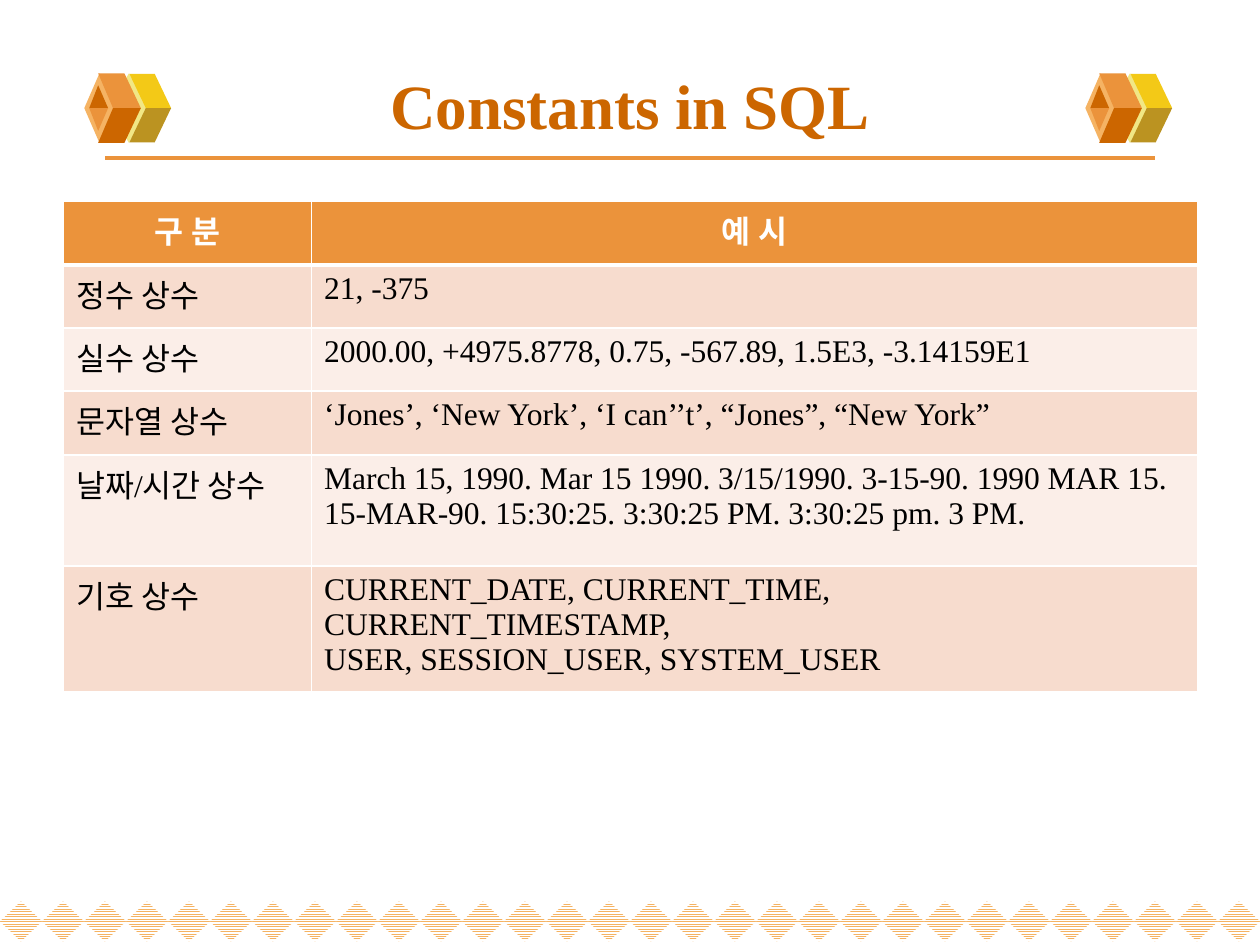
from dataclasses import dataclass

from lxml.etree import SubElement
from pptx import Presentation
from pptx.dml.color import RGBColor
from pptx.enum.dml import MSO_PATTERN
from pptx.enum.shapes import MSO_CONNECTOR, MSO_SHAPE
from pptx.enum.text import MSO_ANCHOR, PP_ALIGN
from pptx.oxml import parse_xml
from pptx.oxml.ns import nsdecls, qn
from pptx.util import Cm, Pt

COLORS = {
    "white": "FFFFFF",
    "black": "000000",
    "orange": "EB933B",
    "amber": "F5B363",
    "rust": "CC6600",
    "cream": "F1E785",
    "yellow": "F3C917",
    "olive": "BB9321",
    "peach": "F7DCCE",
    "blush": "FBEEE8",
}
FONT = "Times New Roman"
SLIDE_WIDTH, SLIDE_HEIGHT = 25.4, 19.05
DIAMOND_COUNT = 30
CUBE_LEFTS = (1.7, 21.88)
CUBE_MIDDLE = 2.18
COLUMN_WIDTHS = (5.0, 17.86)


@dataclass(frozen=True)
class CubeEdge:
    left: float
    width: float
    color: str


@dataclass(frozen=True)
class CubeFace:
    points: tuple[tuple[float, float], ...]
    upper_color: str
    lower_color: str


@dataclass(frozen=True)
class ConstantRow:
    label: str
    examples: str
    height: float
    color: str


CUBE_PARTS = (
    CubeEdge(0.48, 0.84, "cream"),
    CubeFace(((1.24, 0), (1.75, 0), (1.42, 0.69), (0.91, 0.69)), "yellow", "olive"),
    CubeEdge(0, 0.61, "amber"),
    CubeFace(((0.58, 0), (1.14, 0), (0.81, 0.7), (0.28, 0.7)), "orange", "rust"),
    CubeFace(((0.28, 0.46), (0.1, 0), (0.48, 0)), "rust", "orange"),
)
ROWS = (
    ConstantRow("구 분", "예 시", 1.29, "orange"),
    ConstantRow("정수 상수", "21, -375", 1.27, "peach"),
    ConstantRow("실수 상수", "2000.00, +4975.8778, 0.75, -567.89, 1.5E3, -3.14159E1", 1.27, "blush"),
    ConstantRow("문자열 상수", "‘Jones’, ‘New York’, ‘I can’’t’, “Jones”, “New York”", 1.29, "peach"),
    ConstantRow(
        "날짜/시간 상수",
        "March 15, 1990. Mar 15 1990. 3/15/1990. 3-15-90. 1990 MAR 15.\n"
        "15-MAR-90. 15:30:25. 3:30:25 PM. 3:30:25 pm. 3 PM.",
        2.24,
        "blush",
    ),
    ConstantRow(
        "기호 상수",
        "CURRENT_DATE, CURRENT_TIME, CURRENT_TIMESTAMP,\nUSER, SESSION_USER, SYSTEM_USER",
        2.24,
        "peach",
    ),
)


def rgb(name: str) -> RGBColor:
    """Return the named colour."""
    return RGBColor.from_string(COLORS[name])


def write_text(text_frame, text: str, *, size=18, color="black", bold=False, align=PP_ALIGN.LEFT) -> None:
    """Write each line of text as a formatted paragraph."""
    text_frame.word_wrap = True
    text_frame.text = text
    for paragraph in text_frame.paragraphs:
        paragraph.alignment = align
        for run in paragraph.runs:
            run.font.name = FONT
            run.font.size = Pt(size)
            run.font.bold = bold
            run.font.color.rgb = rgb(color)


def add_diamond(slide, left: float, top: float, width: float, height: float):
    """Add a diamond without line or shadow."""
    shape = slide.shapes.add_shape(MSO_SHAPE.DIAMOND, Cm(left), Cm(top), Cm(width), Cm(height))
    shape.shadow.inherit = False
    shape.line.fill.background()
    return shape


def add_diamond_border(slide) -> None:
    """Line the bottom of the slide with hatched diamonds."""
    width = SLIDE_WIDTH / DIAMOND_COUNT
    for index in range(DIAMOND_COUNT):
        shape = add_diamond(slide, index * width, 18.17, width, 0.81)
        shape.fill.patterned()
        shape.fill.pattern = MSO_PATTERN.NARROW_HORIZONTAL
        shape.fill.fore_color.rgb = rgb("amber")
        shape.fill.back_color.rgb = rgb("white")


def add_polygon(slide, points: list[tuple[float, float]], color: str) -> None:
    """Add a filled polygon through the given points."""
    corners = [(Cm(x), Cm(y)) for x, y in points]
    builder = slide.shapes.build_freeform(*corners[0], scale=1.0)
    builder.add_line_segments(corners[1:], close=True)
    shape = builder.convert_to_shape()
    shape.shadow.inherit = False
    shape.fill.solid()
    shape.fill.fore_color.rgb = rgb(color)
    shape.line.fill.background()


def add_cube(slide, left: float) -> None:
    """Draw a cube ornament from its edges and mirrored faces."""
    for part in CUBE_PARTS:
        if isinstance(part, CubeEdge):
            shape = add_diamond(slide, left + part.left, CUBE_MIDDLE - 0.7, part.width, 1.4)
            shape.fill.solid()
            shape.fill.fore_color.rgb = rgb(part.color)
        else:
            for direction, color in ((-1, part.upper_color), (1, part.lower_color)):
                points = [(left + x, CUBE_MIDDLE + direction * y) for x, y in part.points]
                add_polygon(slide, points, color)


def add_title(slide) -> None:
    """Add the title and the rule below it."""
    rule = slide.shapes.add_connector(MSO_CONNECTOR.STRAIGHT, Cm(2.12), Cm(3.18), Cm(23.28), Cm(3.18))
    rule.line.color.rgb = rgb("orange")
    rule.line.width = Pt(2.25)
    SubElement(rule._element.spPr, qn("a:effectLst"))
    for left in CUBE_LEFTS:
        add_cube(slide, left)
    title = slide.shapes.add_textbox(Cm(1.27), Cm(1.14), Cm(22.86), Cm(1.93))
    title.text_frame.vertical_anchor = MSO_ANCHOR.MIDDLE
    write_text(title.text_frame, "Constants in SQL", size=36, color="rust", bold=True, align=PP_ALIGN.CENTER)


def set_borders(cell, top: float, bottom: float) -> None:
    """Give a cell white borders."""
    properties = cell._tc.get_or_add_tcPr()
    for index, (side, width) in enumerate((("L", 1), ("R", 1), ("T", top), ("B", bottom))):
        border = parse_xml(
            f'<a:ln{side} {nsdecls("a")} w="{Pt(width)}"><a:solidFill>'
            f'<a:srgbClr val="{COLORS["white"]}"/></a:solidFill></a:ln{side}>'
        )
        properties.insert(index, border)


def add_constants_table(slide) -> None:
    """Add the table of constant kinds and examples."""
    height = sum(row.height for row in ROWS)
    frame = slide.shapes.add_table(
        len(ROWS), len(COLUMN_WIDTHS), Cm(1.28), Cm(4.05), Cm(sum(COLUMN_WIDTHS)), Cm(height)
    )
    table = frame.table
    table.first_row = table.horz_banding = False
    for column, width in zip(table.columns, COLUMN_WIDTHS):
        column.width = Cm(width)
    for index, row in enumerate(ROWS):
        table.rows[index].height = Cm(row.height)
        header = index == 0
        for column_index, text in enumerate((row.label, row.examples)):
            cell = table.cell(index, column_index)
            cell.fill.solid()
            cell.fill.fore_color.rgb = rgb(row.color)
            set_borders(cell, top=3 if index == 1 else 1, bottom=3 if header else 1)
            write_text(
                cell.text_frame,
                text,
                color="white" if header else "black",
                bold=header,
                align=PP_ALIGN.CENTER if header else PP_ALIGN.LEFT,
            )


def main() -> None:
    """Build and save the slide."""
    presentation = Presentation()
    presentation.slide_width = Cm(SLIDE_WIDTH)
    presentation.slide_height = Cm(SLIDE_HEIGHT)
    slide = presentation.slides.add_slide(presentation.slide_layouts[6])
    add_diamond_border(slide)
    add_title(slide)
    add_constants_table(slide)
    presentation.save("out.pptx")


if __name__ == "__main__":
    main()
